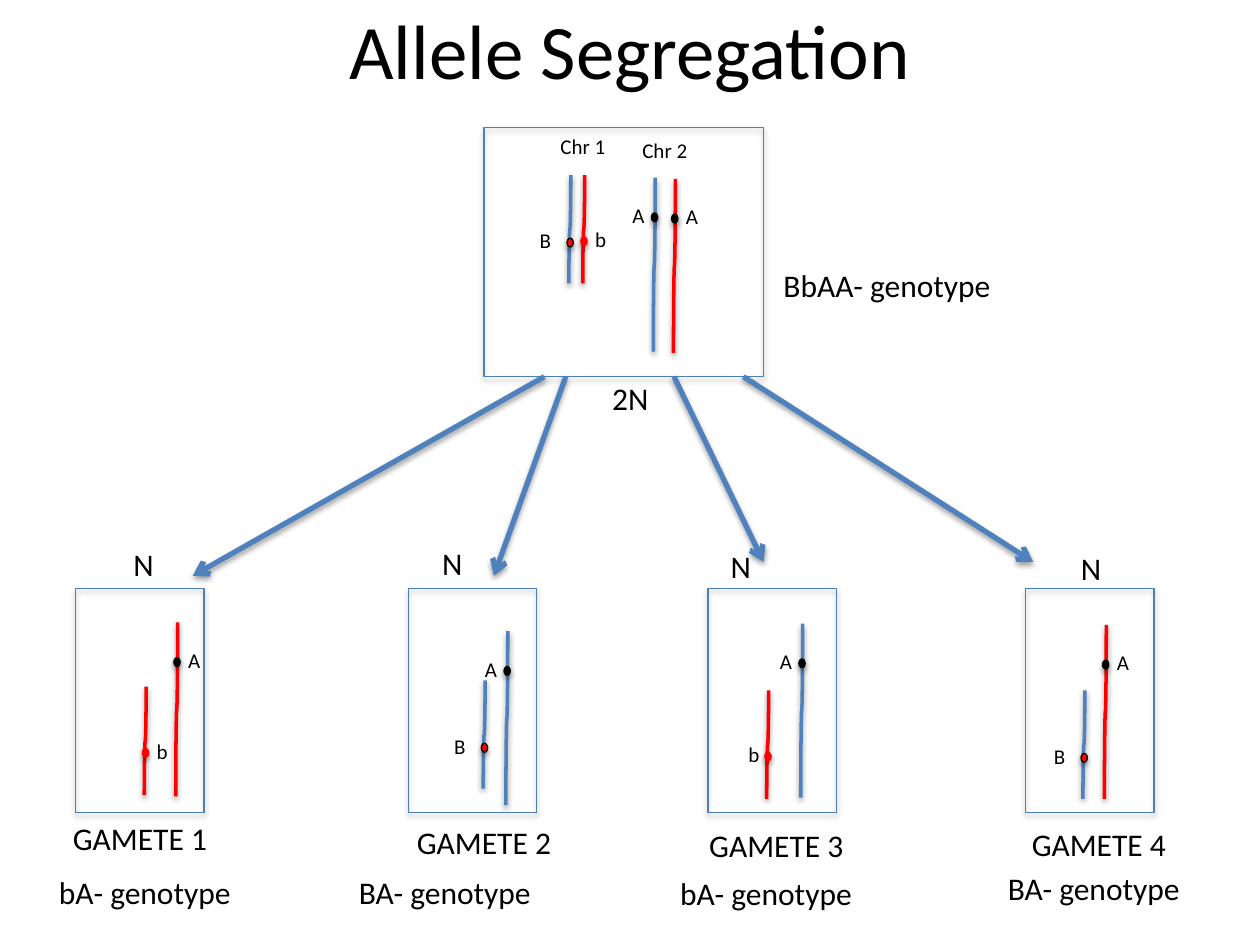
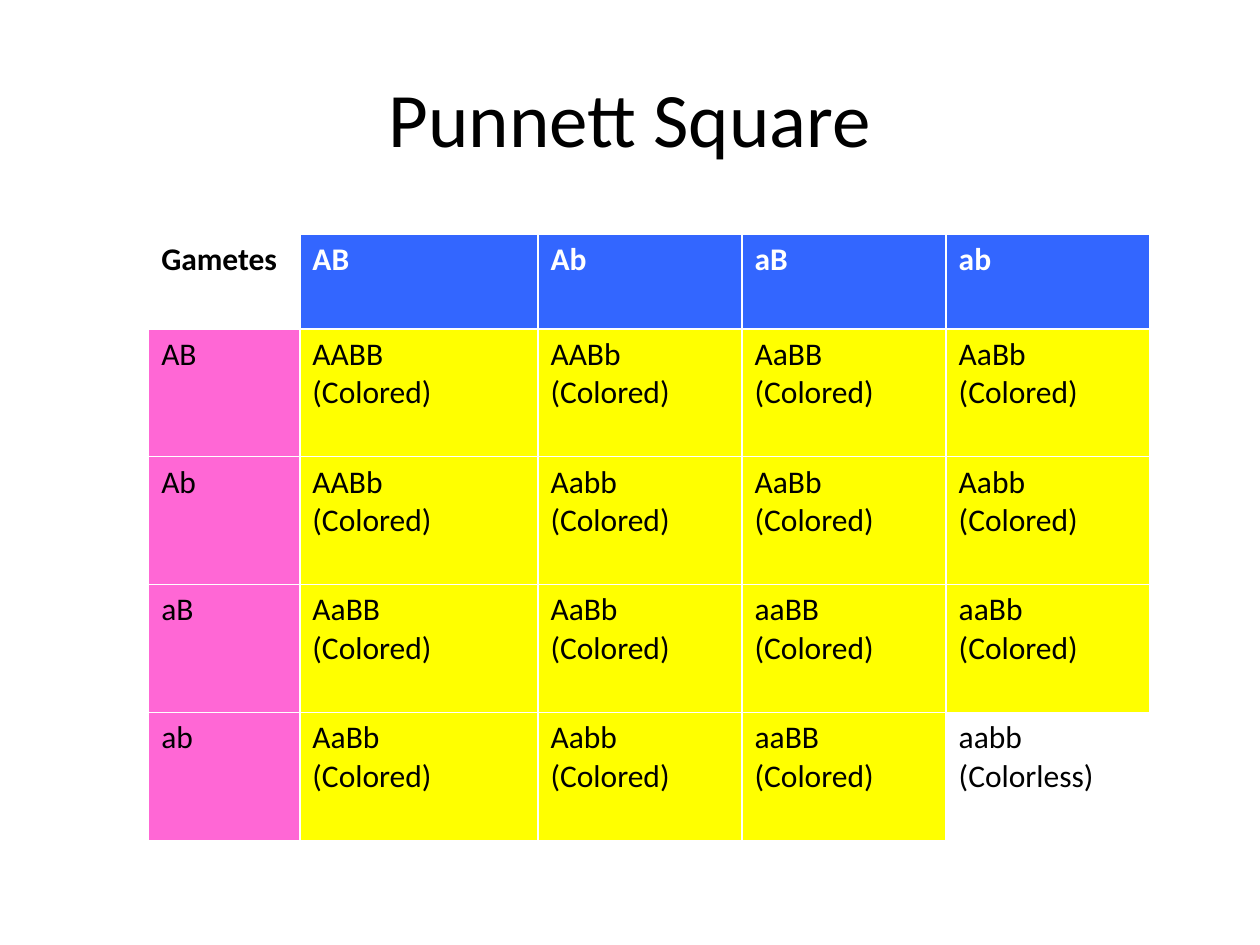
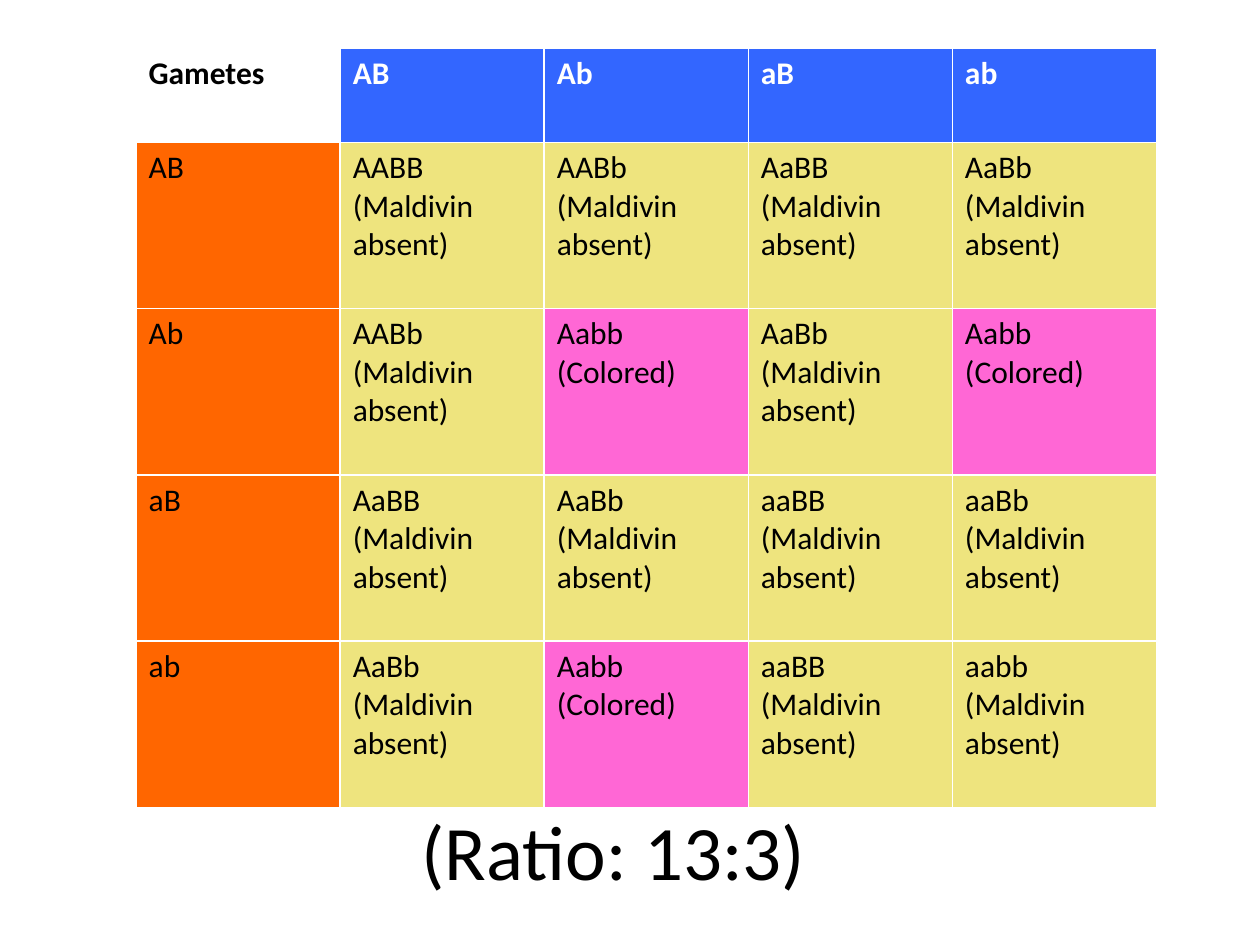
import pptx
import pptx.util
import pptx.dml.color
import pptx.enum.shapes
import pptx.enum.text
import pptx.oxml
import pptx.oxml.ns

RGB = pptx.dml.color.RGBColor
Pt = pptx.util.Pt
KIND = pptx.enum.shapes.MSO_SHAPE
LINK = pptx.enum.shapes.MSO_CONNECTOR

FONT = "Calibri"
BLACK = RGB(0x00, 0x00, 0x00)
WHITE = RGB(0xFF, 0xFF, 0xFF)
RED = RGB(0xFF, 0x00, 0x00)
BLUE = RGB(0x4F, 0x81, 0xBD)
EDGE = RGB(0x4B, 0x7E, 0xBC)
ROYAL = RGB(0x33, 0x66, 0xFF)
PINK = RGB(0xFF, 0x67, 0xD5)
YELLOW = RGB(0xFF, 0xFF, 0x00)
ORANGE = RGB(0xFF, 0x66, 0x00)
KHAKI = RGB(0xEE, 0xE4, 0x7E)

WIDE = pptx.util.Inches(10)
HIGH = pptx.util.Inches(7.5)
UNIT = WIDE / 100

ALLELES = {
    "A": dict(size=13.8, drop=2.8, fill=BLACK, rim=BLACK, left=-2.5),
    "B": dict(size=8.6, drop=5, fill=RED, rim=BLACK, left=-3.15),
    "b": dict(size=8.6, drop=4.9, fill=RED, rim=RED, left=-2.3),
}

PARENT = (38.4, 10.1, 22.2, 19.8)
PAIRS = [
    ("A", BLUE, 13.6, 4, "left"),
    ("A", RED, 15.2, 4.1, "right"),
    ("B", BLUE, 6.9, 3.8, "left"),
    ("b", RED, 8, 3.8, "right"),
]

GAMETES = [
    dict(x=6, kind="bA", n=(3.6, -3.9), name=(-1.2, 17.8), type=(-2.3, 22.1),
         arrow=(43.2, 15.3, 45.7),
         chroms=[("A", RED, 8.1, 2.7, "right"), ("b", RED, 5.6, 7.8, "right")]),
    dict(x=32.4, kind="BA", n=(1.7, -4), name=(-0.3, 18.1), type=(-4.9, 22.1),
         arrow=(44.9, 39.2, 45.7),
         chroms=[("A", BLUE, 7.9, 3.4, "left"), ("B", BLUE, 6.1, 7.3, "left")]),
    dict(x=56.2, kind="bA", n=(0.8, -3.8), name=(-0.9, 18.4), type=(-3.2, 22.2),
         arrow=(53.5, 60.6, 44.6),
         chroms=[("A", BLUE, 7.5, 2.8, "left"), ("b", RED, 4.8, 8.1, "left")]),
    dict(x=81.4, kind="BA", n=(3.4, -3.6), name=(-0.5, 18.3), type=(-2.4, 21.8),
         arrow=(59, 82, 44.6),
         chroms=[("A", RED, 6.4, 2.9, "right"), ("B", BLUE, 4.7, 8.1, "left")]),
]

SIDES = ["AB", "Ab", "aB", "ab"]
CROSS = [
    ["AABB", "AABb", "AaBB", "AaBb"],
    ["AABb", "Aabb", "AaBb", "Aabb"],
    ["AaBB", "AaBb", "aaBB", "aaBb"],
    ["AaBb", "Aabb", "aaBB", "aabb"],
]


def cells(*nums):
    return [round(n * UNIT) for n in nums]


def write(para, text, size, ink=BLACK, bold=False):
    run = para.add_run()
    run.text = text
    font = run.font
    font.name = FONT
    font.size = Pt(size)
    font.bold = bold
    font.color.rgb = ink


def title(slide, text, x, y):
    head = slide.shapes.title
    head.left, head.top, head.width, head.height = cells(x, y, 90, 12.5)
    write(head.text_frame.paragraphs[0], text, 44)


def label(pen, text, x, y, wide, size=18):
    high = 4 if size == 18 else 3
    frame = pen.add_textbox(*cells(x, y, wide, high)).text_frame
    frame.word_wrap = True
    frame.auto_size = pptx.enum.text.MSO_AUTO_SIZE.SHAPE_TO_FIT_TEXT
    write(frame.paragraphs[0], text, size)


def stroke(shape, ink, width):
    shape.line.color.rgb = ink
    shape.line.width = Pt(width)


def arrow(pen, start, end):
    line = pen.add_connector(LINK.STRAIGHT, *cells(*start, *end))
    stroke(line, BLUE, 3)
    tip = pptx.oxml.parse_xml(
        f'<a:tailEnd {pptx.oxml.ns.nsdecls("a")} type="arrow"/>')
    line.line._get_or_add_ln().append(tip)


def strand(pen, x, y, size, ink):
    bend = 0.15
    mid_x, mid_y = x - bend / 2, y + size / 2
    line = pen.add_connector(LINK.CURVE, *cells(
        mid_x - size / 2, mid_y - bend / 2, mid_x + size / 2, mid_y + bend / 2))
    line.element.spPr.find(pptx.oxml.ns.qn("a:xfrm")).set("rot", "5400000")
    stroke(line, ink, 2)


def chrom(pen, box, name, ink, x, y, side):
    gene = ALLELES[name]
    x, y = box[0] + x, box[1] + y
    strand(pen, x, y, gene["size"], ink)
    x, y = x - 0.3, y + gene["drop"]
    dot = pen.add_shape(KIND.OVAL, *cells(x, y, 0.5, 0.7))
    dot.fill.solid()
    dot.fill.fore_color.rgb = gene["fill"]
    stroke(dot, gene["rim"], 0.75)
    shift = gene["left"] if side == "left" else 0.15
    label(pen, name, x + shift, y - 1.3, 3.2, 12)


def cell_box(slide, box, chroms, tags=()):
    pen = slide.shapes.add_group_shape().shapes
    for item in chroms:
        chrom(pen, box, *item)
    for text, x, y in tags:
        label(pen, text, box[0] + x, box[1] + y, 10.6, 12)
    frame = pen.add_shape(KIND.RECTANGLE, *cells(*box))
    frame.fill.background()
    stroke(frame, EDGE, 0.75)


def parent(slide, box):
    x, y, wide, high = box
    cell_box(slide, box, PAIRS, [("Chr 1", 5.1, 0), ("Chr 2", 11.6, 0.3)])
    label(slide.shapes, "2N", x + 9.2, y + high - 0.3, 7.9)
    label(slide.shapes, "BbAA- genotype", x + wide + 0.6, y + 10.5, 21.3)


def gamete(slide, box, num, data):
    cell_box(slide, box, data["chroms"])
    start, end, low = data["arrow"]
    arrow(slide.shapes, (start, PARENT[1] + PARENT[3]), (end, low))
    notes = [
        ("N", data["n"], 7.9),
        (f"GAMETE {num}", data["name"], 20.2),
        (f"{data['kind']}- genotype", data["type"], 21.3),
    ]
    for text, (x, y), wide in notes:
        label(slide.shapes, text, box[0] + x, box[1] + y, wide)


def fill_cell(cell, lines, back, ink=BLACK, bold=False):
    if back is None:
        cell.fill.background()
    else:
        cell.fill.solid()
        cell.fill.fore_color.rgb = back
    frame = cell.text_frame
    for i, text in enumerate(lines):
        para = frame.add_paragraph() if i else frame.paragraphs[0]
        write(para, text, 18, ink, bold)


def punnett(slide, x, y, cols, high, side, trait):
    rows = [7.5] + [high] * len(SIDES)
    table = slide.shapes.add_table(
        len(rows), len(cols), *cells(x, y, sum(cols), sum(rows))).table
    table.horz_banding = False
    for col, size in zip(table.columns, cells(*cols)):
        col.width = size
    for row, size in zip(table.rows, cells(*rows)):
        row.height = size
    fill_cell(table.cell(0, 0), ["Gametes"], None, bold=True)
    for i, name in enumerate(SIDES):
        fill_cell(table.cell(0, i + 1), [name], ROYAL, WHITE, True)
        fill_cell(table.cell(i + 1, 0), [name], side)
        for j, kind in enumerate(CROSS[i]):
            text, back = trait(kind)
            fill_cell(table.cell(i + 1, j + 1), [kind, f"({text})"], back)


def pigment(kind):
    return ("Colorless", None) if kind == "aabb" else ("Colored", YELLOW)


def maldivin(kind):
    return ("Colored", PINK) if kind == "Aabb" else ("Maldivin absent", KHAKI)


def main():
    deck = pptx.Presentation()
    deck.slide_width, deck.slide_height = WIDE, HIGH
    first, second, third = [
        deck.slides.add_slide(deck.slide_layouts[5]) for _ in range(3)]

    title(first, "Allele Segregation", 5, -2.4)
    parent(first, PARENT)
    for num, data in enumerate(GAMETES, 1):
        gamete(first, (data["x"], 46.7, 10.2, 17.8), num, data)

    title(second, "Punnett Square", 5, 3)
    punnett(second, 11.8, 18.6, [12, 18.9] + [16.2] * 3, 10.15, PINK, pigment)

    title(third, "(Ratio: 13:3)", 3.7, 61.2)
    punnett(third, 10.8, 3.8, [16.2] * 5, 13.2, ORANGE, maldivin)

    deck.save("out.pptx")


if __name__ == "__main__":
    main()
